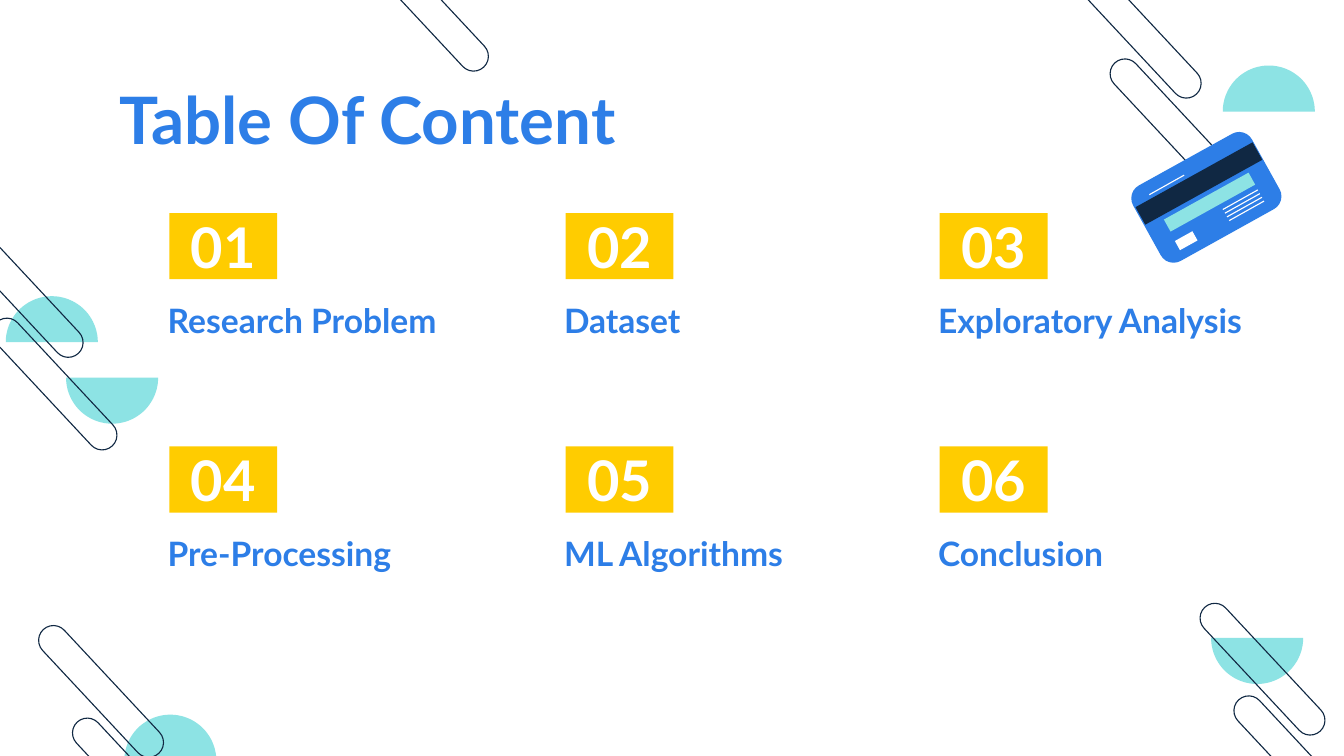
from dataclasses import dataclass
from math import cos, pi, sin

from lxml.etree import SubElement
from pptx import Presentation
from pptx.dml.color import RGBColor as Color
from pptx.enum.shapes import MSO_CONNECTOR as Connector, MSO_SHAPE as Preset
from pptx.enum.text import MSO_ANCHOR as Anchor, PP_ALIGN as Align
from pptx.oxml.ns import qn
from pptx.util import Cm, Pt


@dataclass(frozen=True)
class Theme:
    font: str = "Lato"
    blue: Color = Color(0x2D, 0x7E, 0xE7)
    navy: Color = Color(0x10, 0x28, 0x43)
    aqua: Color = Color(0x8D, 0xE3, 0xE4)
    yellow: Color = Color(0xFF, 0xCC, 0x00)
    white: Color = Color(0xFF, 0xFF, 0xFF)
    title_size: Pt = Pt(35)
    number_size: Pt = Pt(30)
    label_size: Pt = Pt(18)
    line_width: Pt = Pt(0.59)
    inset: Cm = Cm(0.25)


@dataclass(frozen=True)
class HalfDisc:
    left: float
    top: float
    dome: bool = True


@dataclass(frozen=True)
class TiltedBox:
    center_x: float
    center_y: float
    width: float
    height: float
    angle: float
    fill: Color | None = None
    rounding: float = 0


@dataclass(frozen=True)
class TextStyle:
    size: Pt
    color: Color
    anchor: Anchor
    align: Align = Align.LEFT


THEME = Theme()
TITLE = TextStyle(THEME.title_size, THEME.blue, Anchor.TOP)
NUMBER = TextStyle(THEME.number_size, THEME.white, Anchor.MIDDLE, Align.CENTER)
LABEL = TextStyle(THEME.label_size, THEME.blue, Anchor.BOTTOM)

TOPICS = ["Research Problem", "Dataset", "Exploratory Analysis",
          "Pre-Processing", "ML Algorithms", "Conclusion"]
COLUMNS = [3.2, 10.69, 17.76]
ROWS = [4.03, 8.44]

DISC_RADIUS = 0.87
DISCS = [HalfDisc(23.11, 1.24), HalfDisc(0.11, 5.6), HalfDisc(1.25, 7.14, False),
         HalfDisc(22.89, 12.06, False), HalfDisc(2.35, 13.51)]

PILL_PAIRS = [(22.16, 2.36), (1.03, 7.26), (2.55, 14.82), (24.5, 14.4)]
PILL_SHIFT = (-0.64, -1.75)
SINGLE_PILL = (8.05, 0.1)

CARD_ANGLE = -29
CARD_PARTS = [
    TiltedBox(22.8, 3.73, 2.57, 1.63, CARD_ANGLE, THEME.blue, 0.17),
    TiltedBox(22.66, 3.47, 2.53, 0.38, CARD_ANGLE, THEME.navy),
    TiltedBox(22.86, 3.82, 1.83, 0.26, CARD_ANGLE, THEME.aqua),
    TiltedBox(22.42, 4.55, 0.38, 0.2, CARD_ANGLE, THEME.white),
]
CARD_LINES = [(21.72, 3.68)] + [(23.11 + 0.04 * i, 3.96 + 0.07 * i) for i in range(4)]


def draw_half_disc(shapes, disc: HalfDisc) -> None:
    direction = -1 if disc.dome else 1
    center_x = disc.left + DISC_RADIUS
    base = disc.top + (DISC_RADIUS if disc.dome else 0)
    points = [(Cm(center_x - DISC_RADIUS * cos(pi * i / 60)),
               Cm(base + direction * DISC_RADIUS * sin(pi * i / 60)))
              for i in range(61)]
    builder = shapes.build_freeform(*points[0])
    builder.add_line_segments(points[1:], close=True)
    shape = builder.convert_to_shape()
    shape.shadow.inherit = False
    shape.fill.solid()
    shape.fill.fore_color.rgb = THEME.aqua
    shape.line.fill.background()


def draw_tilted_box(shapes, box: TiltedBox) -> None:
    preset = Preset.ROUNDED_RECTANGLE if box.rounding else Preset.RECTANGLE
    shape = shapes.add_shape(preset, Cm(box.center_x - box.width / 2),
                             Cm(box.center_y - box.height / 2),
                             Cm(box.width), Cm(box.height))
    if box.rounding:
        shape.adjustments[0] = box.rounding
    shape.rotation = box.angle
    shape.shadow.inherit = False
    if box.fill is None:
        shape.fill.background()
        shape.line.color.rgb = THEME.navy
        shape.line.width = THEME.line_width
    else:
        shape.fill.solid()
        shape.fill.fore_color.rgb = box.fill
        shape.line.fill.background()


def draw_pill(shapes, center_x: float, center_y: float) -> None:
    draw_tilted_box(shapes, TiltedBox(center_x, center_y, 3.2, 0.56, 47, rounding=0.5))


def draw_card_line(shapes, left: float, bottom: float) -> None:
    line = shapes.add_connector(Connector.STRAIGHT, Cm(left), Cm(bottom),
                                Cm(left + 0.66), Cm(bottom - 0.37))
    line.line.color.rgb = THEME.white
    line.line.width = THEME.line_width
    SubElement(line._element.spPr, qn("a:effectLst"))


def write_text(shape, text: str, style: TextStyle) -> None:
    frame = shape.text_frame
    frame.word_wrap = True
    frame.vertical_anchor = style.anchor
    frame.margin_left = frame.margin_right = THEME.inset
    frame.margin_top = frame.margin_bottom = THEME.inset
    paragraph = frame.paragraphs[0]
    paragraph.text = text
    paragraph.alignment = style.align
    paragraph.font.name = THEME.font
    paragraph.font.size = style.size
    paragraph.font.bold = True
    paragraph.font.color.rgb = style.color


def draw_topic(shapes, number: int, topic: str, left: float, top: float) -> None:
    badge = shapes.add_shape(Preset.RECTANGLE, Cm(left), Cm(top), Cm(2.04), Cm(1.25))
    badge.shadow.inherit = False
    badge.fill.solid()
    badge.fill.fore_color.rgb = THEME.yellow
    badge.line.fill.background()
    write_text(badge, f"{number:02d}", NUMBER)
    label = shapes.add_textbox(Cm(left - 0.28), Cm(top + 1.56), Cm(6.4), Cm(1.09))
    write_text(label, topic, LABEL)


def main() -> None:
    presentation = Presentation()
    presentation.slide_width = Cm(25.4)
    presentation.slide_height = Cm(14.29)
    slide = presentation.slides.add_slide(presentation.slide_layouts[6])
    shapes = slide.shapes

    for disc in DISCS:
        draw_half_disc(shapes, disc)
    for center_x, center_y in PILL_PAIRS:
        draw_pill(shapes, center_x, center_y)
        draw_pill(shapes, center_x + PILL_SHIFT[0], center_y + PILL_SHIFT[1])
    draw_pill(shapes, *SINGLE_PILL)

    title = shapes.add_textbox(Cm(2.01), Cm(1.24), Cm(21.41), Cm(1.6))
    write_text(title, "Table Of Content", TITLE)

    card = shapes.add_group_shape()
    for part in CARD_PARTS:
        draw_tilted_box(card.shapes, part)
    for left, bottom in CARD_LINES:
        draw_card_line(card.shapes, left, bottom)

    for index, topic in enumerate(TOPICS):
        row, column = divmod(index, len(COLUMNS))
        draw_topic(shapes, index + 1, topic, COLUMNS[column], ROWS[row])

    presentation.save("out.pptx")


if __name__ == "__main__":
    main()
